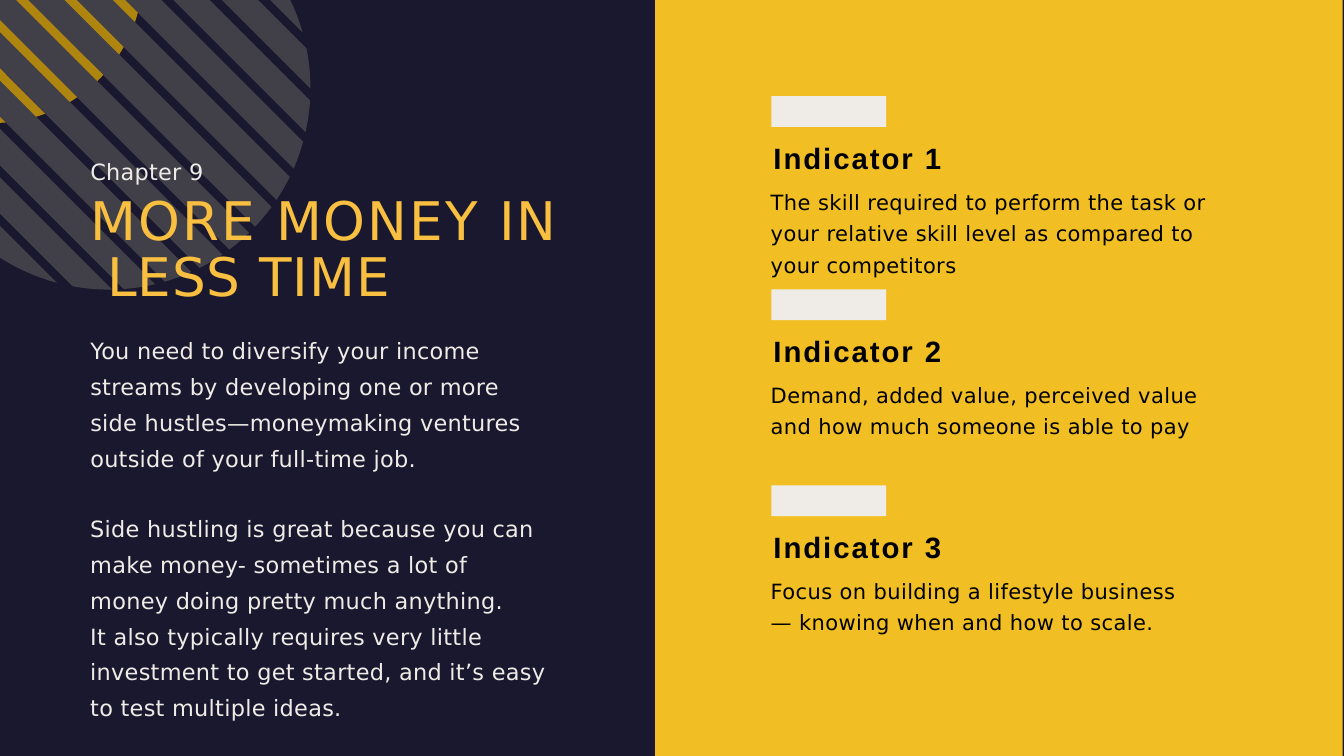
from math import acos, asin, cos, pi, sin, sqrt

from lxml import etree
from pptx import Presentation
from pptx.dml.color import RGBColor
from pptx.enum.shapes import MSO_SHAPE
from pptx.oxml.ns import qn
from pptx.util import Pt

COLORS = {
    "night": "1A182E",
    "yellow": "F1BF24",
    "title": "F9BF40",
    "cream": "EFECE7",
    "black": "000000",
    "gray": "565656",
    "gold": "FBBE00",
}


def write(frame, text, *, size, color, font="DejaVu Sans", bold=False, tracking=0.3,
          line=None, before=0, left=0.72, hanging=0):
    """Fill the frame's empty first paragraph, or append one; \\v breaks a line."""
    paragraph = frame.paragraphs[0]
    if paragraph.runs:
        paragraph = frame.add_paragraph()
    paragraph.text = text
    paragraph.space_before = Pt(before)
    if line:
        paragraph.line_spacing = line
    properties = paragraph._p.get_or_add_pPr()
    properties.set("marL", str(Pt(left)))
    properties.set("indent", str(-Pt(hanging)))
    for run in paragraph.runs:
        run.font.name = font
        run.font.size = Pt(size)
        run.font.bold = bold
        run.font.color.rgb = RGBColor.from_string(COLORS[color])
        run._r.get_or_add_rPr().set("spc", str(round(tracking * 100)))
    return paragraph


def add_frame(left, top, width, height, inset):
    frame = slide.shapes.add_textbox(Pt(left), Pt(top), Pt(width), Pt(height)).text_frame
    frame.word_wrap = True
    frame.margin_left = frame.margin_right = frame.margin_bottom = 0
    frame.margin_top = Pt(inset)
    return frame


presentation = Presentation()
presentation.slide_width, presentation.slide_height = Pt(1440), Pt(810)
slide = presentation.slides.add_slide(presentation.slide_layouts[6])
slide.background.fill.solid()
slide.background.fill.fore_color.rgb = RGBColor.from_string(COLORS["night"])

# Yellow panel and the tag above each indicator
tag_tops = [103, 310, 520]
blocks = [(702, 0, 736.6, 810, "yellow")]
blocks += [(826.5, top, 123, 33, "cream") for top in tag_tops]
for left, top, width, height, color in blocks:
    block = slide.shapes.add_shape(MSO_SHAPE.RECTANGLE, Pt(left), Pt(top), Pt(width), Pt(height))
    block.shadow.inherit = False
    block.fill.solid()
    block.fill.fore_color.rgb = RGBColor.from_string(COLORS[color])
    block.line.fill.background()

# Discs of 45-degree stripes, cut off by the top and left slide edges.
# Each stripe lies between the lines x - y = low and x - y = high.
PITCH = 51.84
ARC_STEPS = 8
discs = [
    # centre x, centre y, radius, first high, stripe width, count, colour
    (116.6, 94.3, 216, -241.92, 38.88, 12, "gray"),
    (-7.2, -28.8, 160.6, -125.28, 12.96, 6, "gold"),
]
for center_x, center_y, radius, first, width, count, color in discs:
    top_angle = asin(-center_y / radius)
    left_angle = acos(-center_x / radius)
    max_x = center_x + radius * cos(top_angle)
    max_y = center_y + radius * sin(left_angle)
    stripes = []
    for index in range(count):
        high = first + index * PITCH
        low = high - width
        starts, angles = [], []
        for offset in (low, high):
            starts.append((min(max(offset, 0), max_x), min(max(-offset, 0), max_y)))
            ratio = (offset - center_x + center_y) / (radius * sqrt(2))
            angle = acos(max(-1, min(1, ratio))) - pi / 4
            angles.append(max(top_angle, min(left_angle, angle)))
        if low < 0 < high:
            starts.insert(1, (0, 0))
        low_angle, high_angle = angles
        arc = [high_angle + (low_angle - high_angle) * step / ARC_STEPS
               for step in range(ARC_STEPS + 1)]
        rim = [(center_x + radius * cos(angle), center_y + radius * sin(angle)) for angle in arc]
        stripes.append([(Pt(x), Pt(y)) for x, y in starts + rim])

    builder = slide.shapes.build_freeform(*stripes[0][0], scale=1.0)
    for index, outline in enumerate(stripes):
        if index:
            builder.move_to(*outline[0])
        builder.add_line_segments(outline[1:], close=True)
    disc = builder.convert_to_shape()
    disc.shadow.inherit = False
    disc.line.fill.background()
    disc.fill.solid()
    disc.fill.fore_color.rgb = RGBColor.from_string(COLORS[color])
    tint = disc._element.spPr.find(qn("a:solidFill")).find(qn("a:srgbClr"))
    etree.SubElement(tint, qn("a:alpha")).set("val", "66000")

# Chapter column
body = {"size": 24, "color": "cream", "line": 1.33}
chapter = add_frame(96, 168.5, 505, 338, inset=0.8)
write(chapter, "Chapter 9", size=24, color="cream")
title = write(chapter, "MORE MONEY IN\vLESS TIME", size=57, color="title", tracking=2.3,
              line=Pt(60), before=11.1, left=19, hanging=18.28)
title.runs[1]._r.get_or_add_rPr().set("spc", "100")
write(chapter, "You need to diversify your income\vstreams by developing one or more\v"
      "side hustles—moneymaking ventures\voutside of your full-time job.", before=22.9, **body)

side_hustle = add_frame(96, 542, 498, 232, inset=0.8)
write(side_hustle, "Side hustling is great because you can\vmake money- sometimes a lot of\v"
      "money doing pretty much anything.", **body)
write(side_hustle, "It also typically requires very little\vinvestment to get started, "
      "and it’s easy\vto test multiple ideas.", **body)

# Indicators
indicators = [
    (509, 170, "The skill required to perform the task or\vyour relative skill level as "
               "compared to\vyour competitors"),
    (493, 136, "Demand, added value, perceived value\vand how much someone is able to pay"),
    (446, 136, "Focus on building a lifestyle business\v— knowing when and how to scale."),
]
for number, (tag_top, (width, height, description)) in enumerate(zip(tag_tops, indicators), 1):
    indicator = add_frame(825.1, tag_top + 25, width, height, inset=22)
    write(indicator, f"Indicator {number}", size=31.5, color="black", font="Arial", bold=True,
          tracking=2.1, left=3.6)
    write(indicator, description, size=22.5, color="black", tracking=0.4, line=1.25, before=8.2)

presentation.save("out.pptx")
